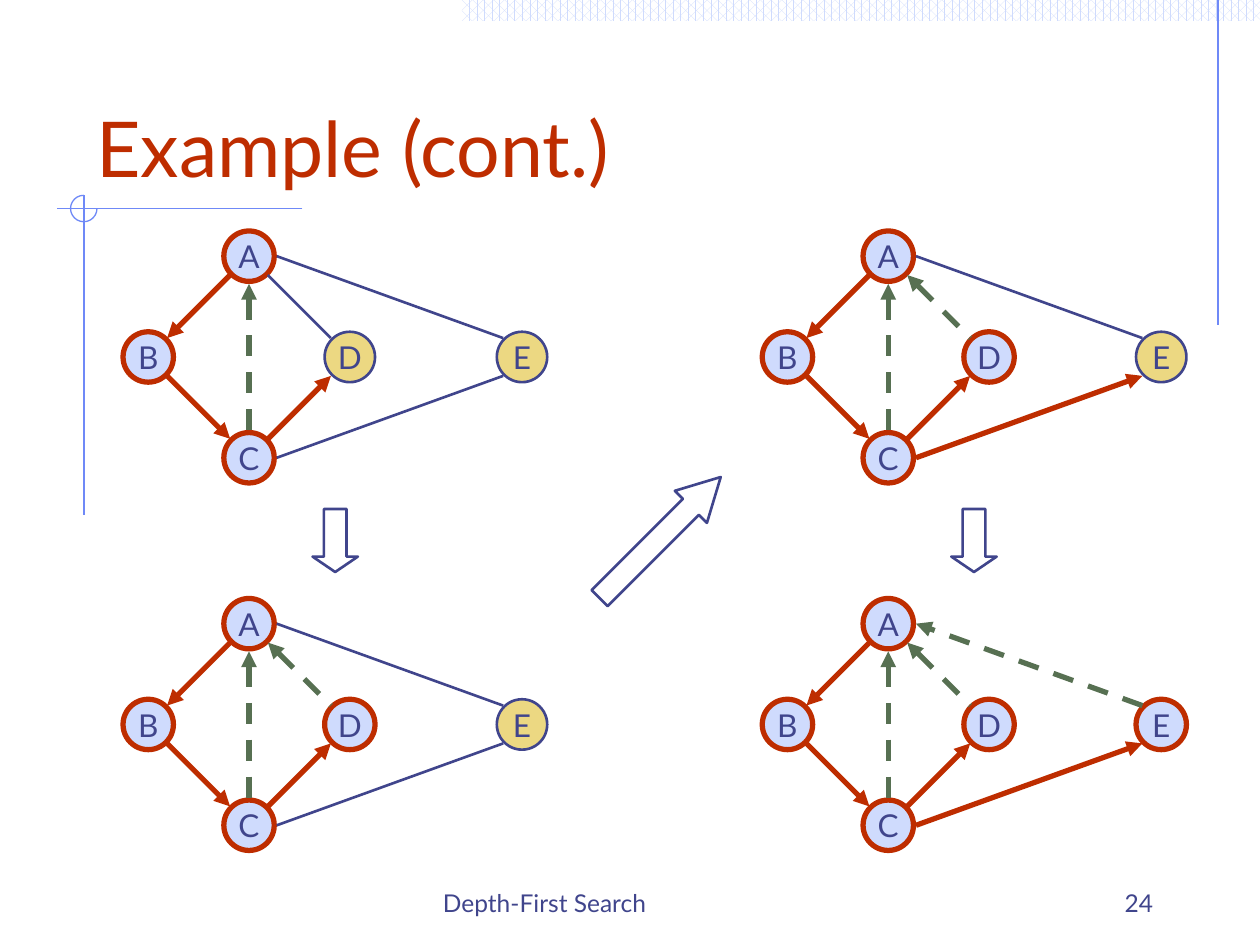
import dataclasses

import pptx
import pptx.dml.color
import pptx.enum.dml
import pptx.enum.shapes
import pptx.enum.text
import pptx.oxml
import pptx.oxml.ns
import pptx.util

COLUMNS, ROWS = 30, 22.5
CELL = pptx.util.Inches(10) // COLUMNS
FONT = "Lato"
COLORS = {
    "ink": "40458C",
    "tree": "BE2D00",
    "back": "577052",
    "visited": "CFDBFD",
    "unvisited": "ECD882",
    "rule": "6F89F7",
    "paper": "FFFFFF",
}

MSO_SHAPE = pptx.enum.shapes.MSO_SHAPE
ALIGN = pptx.enum.text.PP_ALIGN
ANCHOR = pptx.enum.text.MSO_ANCHOR

# Graph layout in grid cells, measured from the centre of vertex A.
VERTICES = {"D": (2.4, 2.4), "B": (-2.4, 2.4), "A": (0, 0), "C": (0, 4.8), "E": (6.5, 2.4)}
DIAMETER = 1.2
PORTS = {
    "N": (0, -0.66), "S": (0, 0.66), "E": (0.66, 0),
    "NE": (0.45, -0.45), "SE": (0.45, 0.45), "SW": (-0.45, 0.45), "NW": (-0.45, -0.45),
}


@dataclasses.dataclass(frozen=True)
class LineStyle:
    color: str
    width: float
    dashed: bool = False
    arrow: bool = False


STYLES = {
    "plain": LineStyle("ink", 1.5),
    "tree": LineStyle("tree", 3, arrow=True),
    "back": LineStyle("back", 3, dashed=True, arrow=True),
    "rule": LineStyle("rule", 0.75),
}


@dataclasses.dataclass(frozen=True)
class Edge:
    start: str
    start_port: str
    end: str
    end_port: str
    style: str
    arrow_at: str = "tailEnd"


@dataclasses.dataclass(frozen=True)
class Step:
    """One state of the search: where A stands and how the open edges look."""
    column: float
    row: float
    unvisited: str
    edge_ad: str
    edge_ce: str
    edge_ea: str


@dataclasses.dataclass(frozen=True)
class BlockArrow:
    column: float
    row: float
    length: float
    head: float
    rotation: float


LEFT, RIGHT, TOP, BOTTOM = 5.93, 21.15, 6.1, 14.85
STEPS = [
    Step(LEFT, BOTTOM, "E", "back", "plain", "plain"),
    Step(RIGHT, TOP, "E", "back", "tree", "plain"),
    Step(RIGHT, BOTTOM, "", "back", "tree", "back"),
    Step(LEFT, TOP, "DE", "plain", "plain", "plain"),
]
BLOCK_ARROWS = [
    BlockArrow(23.19, 12.87, 1.5, 0.34, 90),
    BlockArrow(15.72, 12.8, 4.08, 0.93, -45),
    BlockArrow(7.98, 12.87, 1.5, 0.34, 90),
]
RULES = [(29, 0, 29, 7.75), (7.2, 4.97, 1.35, 4.97), (2, 4.65, 2, 12.27)]


def cells(*counts: float) -> list[int]:
    return [round(count * CELL) for count in counts]


def rgb(name: str) -> pptx.dml.color.RGBColor:
    return pptx.dml.color.RGBColor.from_string(COLORS[name])


def write(frame, text: str, *, size: float, color: str = "ink", align=ALIGN.LEFT,
          anchor=ANCHOR.BOTTOM, wrap: bool = True) -> None:
    frame.word_wrap = wrap
    frame.vertical_anchor = anchor
    paragraph = frame.paragraphs[0]
    paragraph.alignment = align
    run = paragraph.add_run()
    run.text = text
    run.font.name = FONT
    run.font.size = pptx.util.Pt(size)
    run.font.color.rgb = rgb(color)


def add_text(slide, box: tuple, text: str, **text_format) -> None:
    write(slide.shapes.add_textbox(*cells(*box)).text_frame, text, **text_format)


def add_figure(slide, kind, box: tuple, line: str, width: float, fill: str = ""):
    figure = slide.shapes.add_shape(kind, *cells(*box))
    figure.shadow.inherit = False
    if fill:
        figure.fill.solid()
        figure.fill.fore_color.rgb = rgb(fill)
    else:
        figure.fill.background()
    figure.line.color.rgb = rgb(line)
    figure.line.width = pptx.util.Pt(width)
    return figure


def add_line(slide, ends: tuple, style: LineStyle, arrow_at: str = "tailEnd") -> None:
    line = slide.shapes.add_connector(pptx.enum.shapes.MSO_CONNECTOR.STRAIGHT, *cells(*ends))
    line.line.color.rgb = rgb(style.color)
    line.line.width = pptx.util.Pt(style.width)
    if style.dashed:
        line.line.dash_style = pptx.enum.dml.MSO_LINE.DASH
    properties = line._element.spPr
    if style.arrow:
        arrow = pptx.oxml.parse_xml(
            f'<a:{arrow_at} {pptx.oxml.ns.nsdecls("a")} type="triangle"/>')
        properties.find(pptx.oxml.ns.qn("a:ln")).append(arrow)
    properties.append(pptx.oxml.parse_xml(f'<a:effectLst {pptx.oxml.ns.nsdecls("a")}/>'))


def add_backdrop(slide) -> None:
    strip = add_figure(slide, MSO_SHAPE.RECTANGLE, (11, 0, 19, 0.5), "rule", 0.75)
    strip.line.fill.background()
    strip.fill.patterned()
    strip.fill.pattern = pptx.enum.dml.MSO_PATTERN.PERCENT_60
    strip.fill.fore_color.rgb = rgb("visited")
    strip.fill.back_color.rgb = rgb("paper")
    for ends in RULES:
        add_line(slide, ends, STYLES["rule"])
    loop = add_figure(slide, MSO_SHAPE.ARC, (1.68, 4.65, 0.63, 0.63), "rule", 0.75)
    # Angles count 60000 to the degree, adjustments 100000 to the unit.
    loop.adjustments[0] = 0
    loop.adjustments[1] = 270 * 0.6


def add_step(slide, step: Step) -> None:
    centres = {name: (step.column + dx, step.row + dy) for name, (dx, dy) in VERTICES.items()}
    for name, (x, y) in centres.items():
        fill, line, width = (("unvisited", "ink", 1.5) if name in step.unvisited
                             else ("visited", "tree", 3))
        box = (x - DIAMETER / 2, y - DIAMETER / 2, DIAMETER, DIAMETER)
        vertex = add_figure(slide, MSO_SHAPE.OVAL, box, line, width, fill)
        write(vertex.text_frame, name, size=18, align=ALIGN.CENTER,
              anchor=ANCHOR.MIDDLE, wrap=False)
    edges = [
        Edge("A", "SW", "B", "NE", "tree"),
        Edge("B", "SE", "C", "NW", "tree"),
        Edge("C", "NE", "D", "SW", "tree"),
        Edge("A", "SE", "D", "NW", step.edge_ad, "headEnd"),
        Edge("A", "S", "C", "N", "back", "headEnd"),
        Edge("C", "E", "E", "SW", step.edge_ce),
        Edge("E", "NW", "A", "E", step.edge_ea),
    ]
    for edge in edges:
        ends = tuple(
            place + offset
            for name, port in ((edge.start, edge.start_port), (edge.end, edge.end_port))
            for place, offset in zip(centres[name], PORTS[port]))
        add_line(slide, ends, STYLES[edge.style], edge.arrow_at)


def add_block_arrow(slide, arrow: BlockArrow) -> None:
    breadth = 1.08
    box = (arrow.column - arrow.length / 2, arrow.row - breadth / 2, arrow.length, breadth)
    block = add_figure(slide, MSO_SHAPE.RIGHT_ARROW, box, "ink", 1.5)
    block.adjustments[1] = arrow.head
    block.rotation = arrow.rotation


def main() -> None:
    deck = pptx.Presentation()
    deck.slide_width, deck.slide_height = cells(COLUMNS, ROWS)
    slide = deck.slides.add_slide(deck.slide_layouts[6])
    add_backdrop(slide)
    add_text(slide, (10.25, 20.5, 9.5, 1.5), "Depth-First Search", size=14)
    add_text(slide, (21.5, 20.5, 6.25, 1.5), "24", size=14, align=ALIGN.RIGHT)
    add_text(slide, (2, 1, 25.5, 3.75), "Example (cont.)", size=44, color="tree")
    for step in STEPS:
        add_step(slide, step)
    for arrow in BLOCK_ARROWS:
        add_block_arrow(slide, arrow)
    deck.save("out.pptx")


if __name__ == "__main__":
    main()
